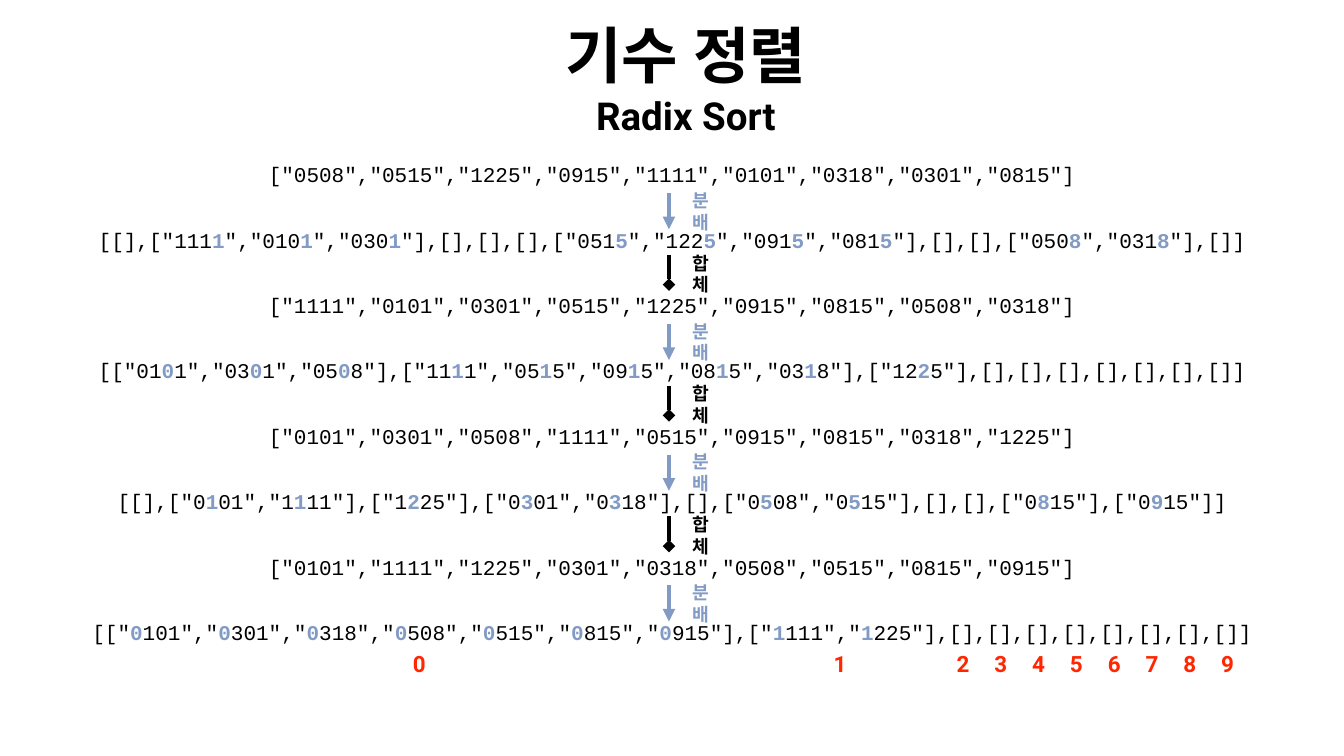
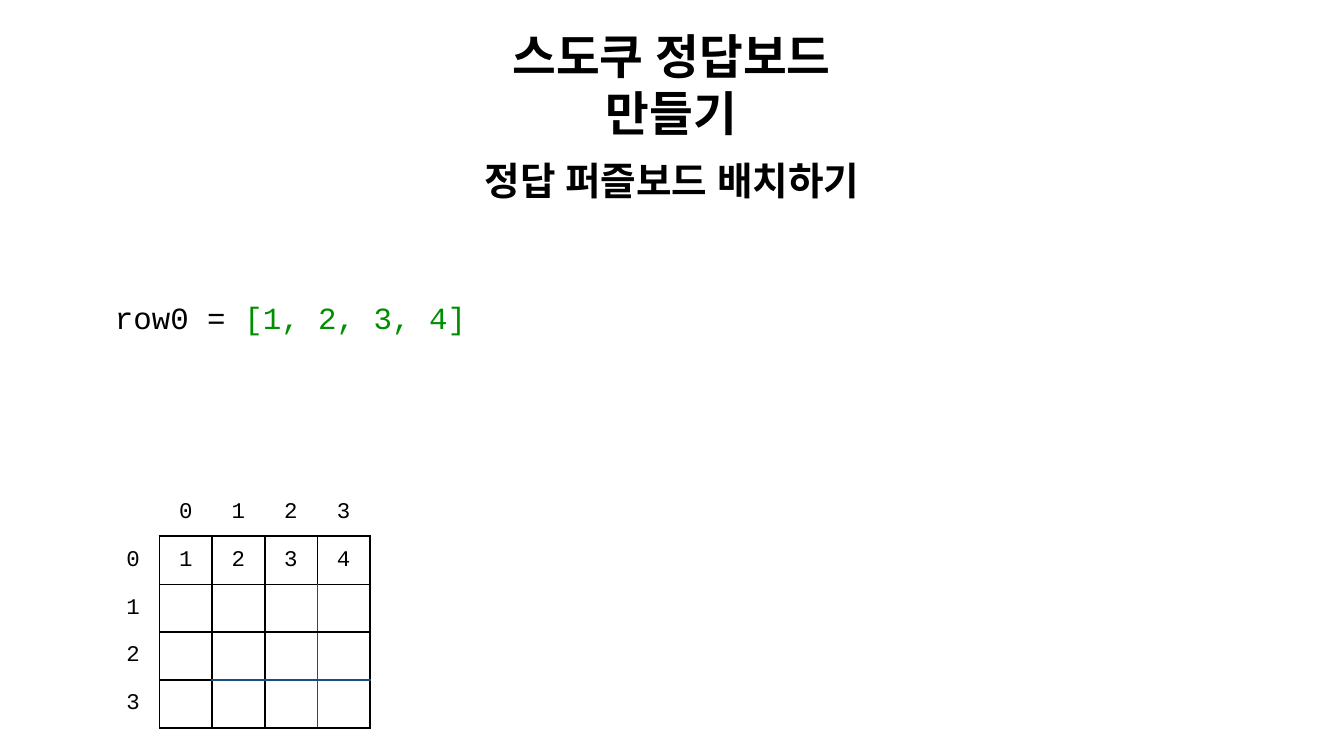
import pptx
import pptx.util
import pptx.dml.color
import pptx.enum.shapes
import pptx.enum.text
import pptx.oxml
import pptx.oxml.ns
from lxml import etree

Inches, Pt = pptx.util.Inches, pptx.util.Pt
RGBColor = pptx.dml.color.RGBColor
Anchor = pptx.enum.text.MSO_ANCHOR
AutoSize = pptx.enum.text.MSO_AUTO_SIZE
Align = pptx.enum.text.PP_ALIGN
qn = pptx.oxml.ns.qn

BLACK = RGBColor(0x00, 0x00, 0x00)
WHITE = RGBColor(0xFF, 0xFF, 0xFF)
BLUE = RGBColor(0x82, 0x9B, 0xC4)
RED = RGBColor(0xFF, 0x26, 0x00)
GREEN = RGBColor(0x00, 0x8F, 0x00)
NAVY = RGBColor(0x16, 0x4F, 0x86)
HEADING_FONT = "Roboto"
CODE_FONT = "Courier New"

SLIDE_WIDTH, SLIDE_HEIGHT = 26.67, 15
TITLE_ONLY = 5
CODE_SIZE = 30
CODE_CHAR_WIDTH = 0.25

DATES = ["0508", "0515", "1225", "0915", "1111", "0101", "0318", "0301", "0815"]


# Shared helpers

def style_span(span, font, size, color, bold=False):
    span.font.name, span.font.size = font, Pt(size)
    span.font.color.rgb, span.font.bold = color, bold
    east_asian = etree.SubElement(span.font._element, qn("a:ea"))
    east_asian.set("typeface", font)


def place(shape, box):
    shape.left, shape.top, shape.width, shape.height = (Inches(n) for n in box)


def set_frame(frame, inset=0.08, anchor=Anchor.MIDDLE, grow=True):
    frame.margin_left = frame.margin_right = Inches(inset)
    frame.margin_top = frame.margin_bottom = Inches(inset)
    frame.vertical_anchor = anchor
    frame.word_wrap = not grow
    frame.auto_size = AutoSize.SHAPE_TO_FIT_TEXT if grow else AutoSize.NONE


def write(frame, text, font, size, color, bold=False, accent=None, align=Align.CENTER):
    """Write one paragraph; parts between asterisks take the accent colour."""
    para = frame.paragraphs[0]
    para.alignment = align
    for index, part in enumerate(text.split("*")):
        if part:
            span = para.add_run()
            span.text = part
            marked = index % 2 == 1
            style_span(span, font, size, accent if marked else color,
                       bold or (marked and accent == BLUE))
    return para


def add_label(page, box, text, font, size, color, bold=True, accent=None):
    label = page.shapes.add_textbox(*(Inches(n) for n in box))
    set_frame(label.text_frame)
    write(label.text_frame, text, font, size, color, bold, accent)


def set_title(page, box, text, size, grow):
    title = page.shapes.title
    place(title, box)
    if grow:
        set_frame(title.text_frame)
    else:
        set_frame(title.text_frame, 0.06, Anchor.BOTTOM, False)
    write(title.text_frame, text, HEADING_FONT, size, BLACK, True)


def add_arrow(page, x, top, bottom, color, head):
    arrow = page.shapes.add_connector(
        pptx.enum.shapes.MSO_CONNECTOR.STRAIGHT,
        Inches(x), Inches(top), Inches(x), Inches(bottom))
    arrow.line.color.rgb, arrow.line.width = color, Pt(6)
    properties = arrow._element.spPr
    etree.SubElement(properties.find(qn("a:ln")), qn("a:tailEnd")).set("type", head)
    etree.SubElement(properties, qn("a:effectLst"))


# Slide 1: radix sort

def quote_list(items):
    return "[" + ",".join(f'"{item}"' for item in items) + "]"


def radix_rows(items):
    """Return the flat list and its buckets for each digit, last digit first."""
    rows = []
    for place_index in reversed(range(4)):
        rows.append(quote_list(items))
        buckets = [[item for item in items if item[place_index] == str(digit)]
                   for digit in range(10)]
        marked = [[f"{item[:place_index]}*{item[place_index]}*{item[place_index + 1:]}"
                   for item in bucket] for bucket in buckets]
        rows.append("[" + ",".join(quote_list(bucket) for bucket in marked) + "]")
        items = [item for bucket in buckets for item in bucket]
    return rows


def add_sort_steps(page, box):
    left, top, width, height = box
    rows = radix_rows(DATES)
    row_height = 0.64
    pitch = (height - row_height) / (len(rows) - 1)
    center = left + width / 2
    for index, text in enumerate(rows):
        row_top = top + index * pitch
        row_width = CODE_CHAR_WIDTH * len(text.replace("*", "")) + 0.24
        add_label(page, (center - row_width / 2, row_top, row_width, row_height),
                  text, CODE_FONT, CODE_SIZE, BLACK, False, BLUE)
    for index in range(len(rows) - 1):
        row_top = top + index * pitch
        if index % 2 == 0:
            word, color, head, start, end, offset = "분배", BLUE, "triangle", 0.69, 1.41, 0.75
        else:
            word, color, head, start, end, offset = "합체", BLACK, "diamond", 0.62, 1.21, 0.7
        add_arrow(page, center - 0.06, row_top + start, row_top + end, color, head)
        add_label(page, (center + 0.18, row_top + offset, 0.79, 0.59),
                  word, CODE_FONT, 26, color)


def add_bucket_numbers(page, box):
    left, top, width, height = box
    number_width, pitch = 0.42, 0.75
    last = left + width - number_width
    lefts = [left, left + 8.35] + [last - (9 - digit) * pitch for digit in range(2, 10)]
    for digit, number_left in enumerate(lefts):
        add_label(page, (number_left, top, number_width, height),
                  str(digit), HEADING_FONT, 32, RED)


def build_radix_slide(deck):
    page = deck.slides.add_slide(deck.slide_layouts[TITLE_ONLY])
    add_sort_steps(page, (1.7, 3.14, 23.27, 9.72))
    set_title(page, (11.09, 0.18, 5.04, 1.68), "기수 정렬", 87.6, False)
    add_label(page, (11.62, 1.74, 3.98, 1.08), "Radix Sort", HEADING_FONT, 55, BLACK)
    add_bucket_numbers(page, (8.11, 12.82, 16.46, 0.69))


# Slide 2: sudoku board

def add_subtitle(page, box, text):
    band = page.shapes.add_shape(pptx.enum.shapes.MSO_SHAPE.RECTANGLE,
                                 *(Inches(n) for n in box))
    band.shadow.inherit = False
    band.fill.solid()
    band.fill.fore_color.rgb = WHITE
    band.line.fill.background()
    set_frame(band.text_frame, 0.06, Anchor.BOTTOM, False)
    write(band.text_frame, text, HEADING_FONT, 55.2, BLACK, True)


def add_code(page, box, text):
    code = page.shapes.add_textbox(*(Inches(n) for n in box))
    set_frame(code.text_frame, anchor=Anchor.TOP, grow=False)
    code.text_frame.margin_top = Inches(0.47)
    para = write(code.text_frame, text, CODE_FONT, 44, BLACK,
                 accent=GREEN, align=Align.LEFT)
    para.line_spacing = 1.2


def set_border(cell, side, line):
    border = etree.SubElement(cell._tc.get_or_add_tcPr(), qn(f"a:ln{side}"))
    if line is None:
        border.set("w", "0")
        etree.SubElement(border, qn("a:noFill"))
        return
    color, width = line
    border.set("w", str(Pt(width)))
    fill = etree.SubElement(border, qn("a:solidFill"))
    etree.SubElement(fill, qn("a:srgbClr")).set("val", str(color))


def vertical_line(row, edge):
    """Line on the right of column `edge`; the blocks are two cells wide."""
    if row == 0 or edge < 0:
        return None
    if edge % 2 == 0:
        return BLACK, 3
    return (NAVY if edge == 3 and row > 1 else BLACK), 2


def horizontal_line(edge, column):
    """Line below row `edge`; the blocks are two cells high."""
    if column == 0 or edge < 0:
        return None
    if edge % 2 == 0:
        return BLACK, 3
    return (NAVY if edge == 3 and column > 1 else BLACK), 2


def add_board(page, box, rows):
    count = len(rows)
    table = page.shapes.add_table(count, count, *(Inches(n) for n in box)).table
    table.first_row = table.horz_banding = False
    for index in range(count):
        table.columns[index].width = Inches(box[2] / count)
        table.rows[index].height = Inches(box[3] / count)
    for r, values in enumerate(rows):
        for c, value in enumerate(values):
            cell = table.cell(r, c)
            cell.vertical_anchor = Anchor.MIDDLE
            cell.margin_left = cell.margin_right = Inches(0.06)
            cell.margin_top = cell.margin_bottom = Inches(0.06)
            set_border(cell, "L", vertical_line(r, c - 1))
            set_border(cell, "R", vertical_line(r, c))
            set_border(cell, "T", horizontal_line(r - 1, c))
            set_border(cell, "B", horizontal_line(r, c))
            cell.fill.solid()
            cell.fill.fore_color.rgb = WHITE
            write(cell.text_frame, value, CODE_FONT, 32, BLACK)


def build_sudoku_slide(deck):
    page = deck.slides.add_slide(deck.slide_layouts[TITLE_ONLY])
    set_title(page, (8.9, 0.99, 8.86, 1.36), "스도쿠 정답보드 만들기", 68, True)
    add_subtitle(page, (5.11, 2.98, 16.45, 1.11), "정답 퍼즐보드 배치하기")
    add_code(page, (2.2, 5.31, 22.26, 4.26), "row0 = *[1, 2, 3, 4]*")
    board = [["", *"0123"], [*"01234"]] + [[str(n), "", "", "", ""] for n in range(1, 4)]
    add_board(page, (2.12, 9.69, 5.22, 4.75), board)


def main():
    deck = pptx.Presentation()
    deck.slide_width, deck.slide_height = Inches(SLIDE_WIDTH), Inches(SLIDE_HEIGHT)
    build_radix_slide(deck)
    build_sudoku_slide(deck)
    deck.save("out.pptx")


if __name__ == "__main__":
    main()
